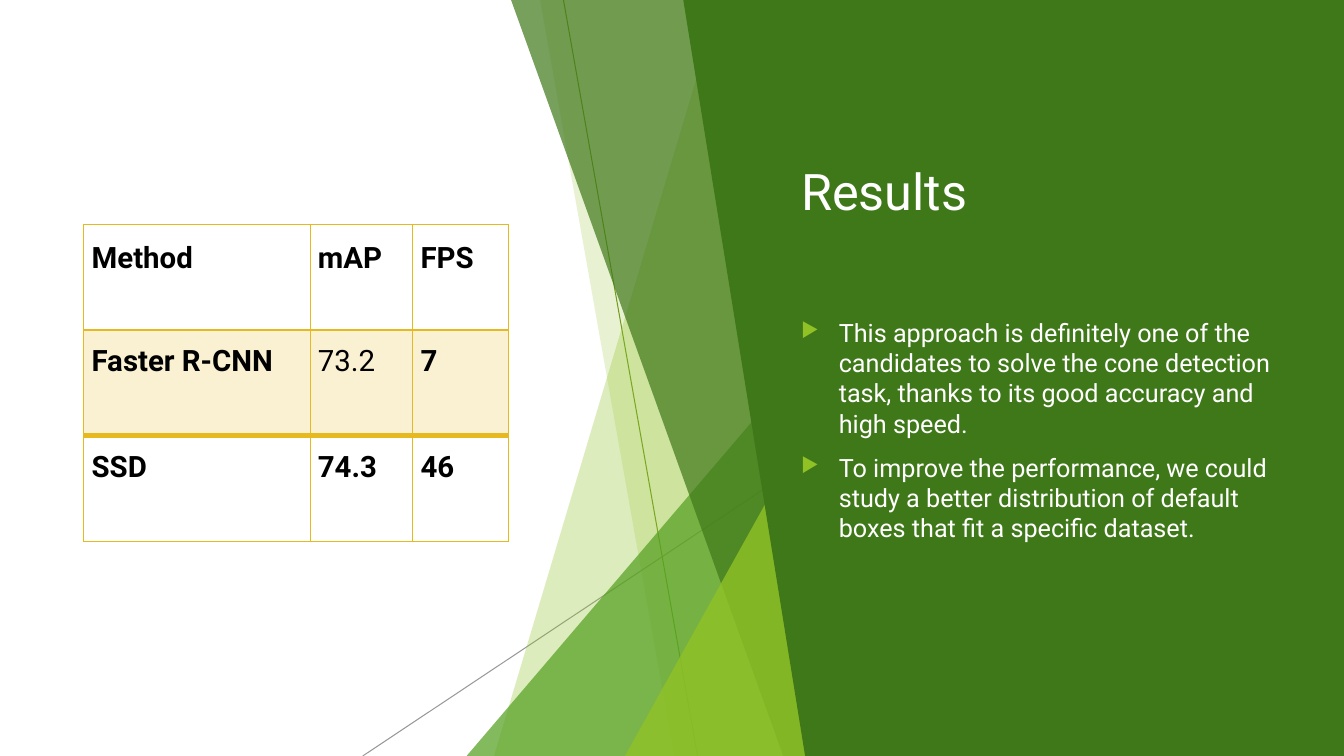
from pptx import Presentation
from pptx.dml.color import RGBColor
from pptx.enum.shapes import MSO_CONNECTOR, MSO_SHAPE
from pptx.enum.text import MSO_ANCHOR
from pptx.oxml.ns import qn
from pptx.util import Cm, Pt
from lxml import etree

STRAIGHT = MSO_CONNECTOR.STRAIGHT
TRIANGLE = MSO_SHAPE.ISOSCELES_TRIANGLE
MIDDLE = MSO_ANCHOR.MIDDLE
TOP = MSO_ANCHOR.TOP

FONT = "Roboto"
COLORS = {
    "white": "FFFFFF", "black": "000000", "lime": "90C226", "green": "54A021",
    "forest": "3F7819", "olive": "6C921D", "gray": "808080", "gold": "E6B91E",
}
WIDTH, HEIGHT = 33.87, 19.05

TITLE = "Results"
BULLETS = [
    "This approach is definitely one of the candidates to solve the cone detection "
    "task, thanks to its good accuracy and high speed.",
    "To improve the performance, we could study a better distribution of default "
    "boxes that fit a specific dataset.",
]
TABLE_ROWS = [
    ("Method", "mAP", "FPS"),
    ("Faster R-CNN", "73.2", "7"),
    ("SSD", "74.3", "46"),
]
LIGHT_TEXT = {"73.2"}
TABLE_LEFT, TABLE_TOP, ROW_HEIGHT = 2.11, 5.66, 2.66
COLUMN_WIDTHS = [5.72, 2.57, 2.41]
CELL_INDENTS = [0.2, 0.18, 0.2]
CELL_TOP_MARGINS = [0.43, 0.36, 0.36]
RULE_WIDTHS = [1, 2, 4, 1]
SHADED_ROW = 1

RAYS = [
    ((14.2, 0), (17.58, HEIGHT), "olive", 100),
    ((22.38, 10.24), (9.14, HEIGHT), "gray", 80),
]
FACET_RIGHT = 20.8
FACETS = [
    ("band", 18.14, 12.45, FACET_RIGHT, "lime", 30),
    ("band", 13.61, 16.99, FACET_RIGHT, "lime", 20),
    ("triangle", 11.76, 8.46, FACET_RIGHT, "green", 72),
    ("band", 12.88, 19.74, FACET_RIGHT, "forest", 70),
    ("triangle", 15.75, 9.98, FACET_RIGHT, "lime", 80),
    ("band", 17.22, 20.29, WIDTH, "forest", 100),
]
TEXT_LEFT, TEXT_WIDTH = 19.94, 12.55


def rgb(name):
    return RGBColor.from_string(COLORS[name])


def set_opacity(parent, percent):
    if percent < 100:
        color = parent.find(qn("a:solidFill"))[0]
        etree.SubElement(color, qn("a:alpha"), val=str(percent * 1000))


def add_ray(slide, start, end, color, opacity):
    ray = slide.shapes.add_connector(STRAIGHT, *map(Cm, start + end))
    ray.line.color.rgb = rgb(color)
    ray.line.width = Pt(0.75)
    properties = ray._element.spPr
    set_opacity(properties.find(qn("a:ln")), opacity)
    etree.SubElement(properties, qn("a:effectLst"))


def add_facet(slide, kind, first, second, right, color, opacity):
    if kind == "band":
        builder = slide.shapes.build_freeform(Cm(first), 0)
        corners = [(right, 0), (right, HEIGHT), (second, HEIGHT)]
        builder.add_line_segments([(Cm(x), Cm(y)) for x, y in corners])
        shape = builder.convert_to_shape()
    else:
        shape = slide.shapes.add_shape(
            TRIANGLE, Cm(first), Cm(second), Cm(right - first), Cm(HEIGHT - second))
        shape.adjustments[0] = 1
    shape.shadow.inherit = False
    shape.line.fill.background()
    shape.fill.solid()
    shape.fill.fore_color.rgb = rgb(color)
    set_opacity(shape._element.spPr, opacity)


def format_runs(paragraph, size, color, bold=False):
    for run in paragraph.runs:
        run.font.name = FONT
        run.font.size = Pt(size)
        run.font.bold = bold
        run.font.color.rgb = rgb(color)


def add_text(slide, top, height, lines, size, anchor):
    box = slide.shapes.add_textbox(Cm(TEXT_LEFT), Cm(top), Cm(TEXT_WIDTH), Cm(height))
    frame = box.text_frame
    frame.word_wrap = True
    frame.vertical_anchor = anchor
    frame.text = "\n".join(lines)
    for paragraph in frame.paragraphs:
        format_runs(paragraph, size, "white")
    return frame.paragraphs


def add_bullet(paragraph):
    paragraph.space_before = Pt(10)
    properties = paragraph._p.get_or_add_pPr()
    properties.set("marL", str(Cm(0.95)))
    properties.set("indent", str(-Cm(0.95)))
    color = etree.SubElement(properties, qn("a:buClr"))
    etree.SubElement(color, qn("a:srgbClr"), val=COLORS["lime"])
    etree.SubElement(properties, qn("a:buSzPct"), val="80000")
    etree.SubElement(properties, qn("a:buChar"), char="▶")


def set_borders(properties, top, bottom):
    for side, width in (("L", 1), ("R", 1), ("T", top), ("B", bottom)):
        line = etree.SubElement(properties, qn(f"a:ln{side}"), w=str(Pt(width)))
        fill = etree.SubElement(line, qn("a:solidFill"))
        etree.SubElement(fill, qn("a:srgbClr"), val=COLORS["gold"])


def fill_cell(cell, row, column):
    text = TABLE_ROWS[row][column]
    cell.text_frame.text = text
    format_runs(cell.text_frame.paragraphs[0], 21, "black", text not in LIGHT_TEXT)
    cell.margin_left = Cm(CELL_INDENTS[column])
    cell.margin_top = Cm(CELL_TOP_MARGINS[row])
    cell.margin_right = cell.margin_bottom = 0
    properties = cell._tc.get_or_add_tcPr()
    set_borders(properties, RULE_WIDTHS[row], RULE_WIDTHS[row + 1])
    if row == SHADED_ROW:
        cell.fill.solid()
        cell.fill.fore_color.rgb = rgb("gold")
        set_opacity(properties, 20)
    else:
        cell.fill.background()


def add_results_table(slide):
    count = len(TABLE_ROWS)
    table = slide.shapes.add_table(
        count, len(COLUMN_WIDTHS), Cm(TABLE_LEFT), Cm(TABLE_TOP),
        Cm(sum(COLUMN_WIDTHS)), Cm(ROW_HEIGHT * count)).table
    table.first_row = table.horz_banding = False
    for column, width in enumerate(COLUMN_WIDTHS):
        table.columns[column].width = Cm(width)
    for row in range(count):
        table.rows[row].height = Cm(ROW_HEIGHT)
        for column in range(len(COLUMN_WIDTHS)):
            fill_cell(table.cell(row, column), row, column)


def main():
    """Build the results slide and save it."""
    presentation = Presentation()
    presentation.slide_width = Cm(WIDTH)
    presentation.slide_height = Cm(HEIGHT)
    slide = presentation.slides.add_slide(presentation.slide_layouts[6])
    for ray in RAYS:
        add_ray(slide, *ray)
    for facet in FACETS:
        add_facet(slide, *facet)
    add_text(slide, 1.7, 6.2, [TITLE], 36, MIDDLE)
    for paragraph in add_text(slide, 7.87, 9.22, BULLETS, 18, TOP):
        add_bullet(paragraph)
    add_results_table(slide)
    presentation.save("out.pptx")


if __name__ == "__main__":
    main()
